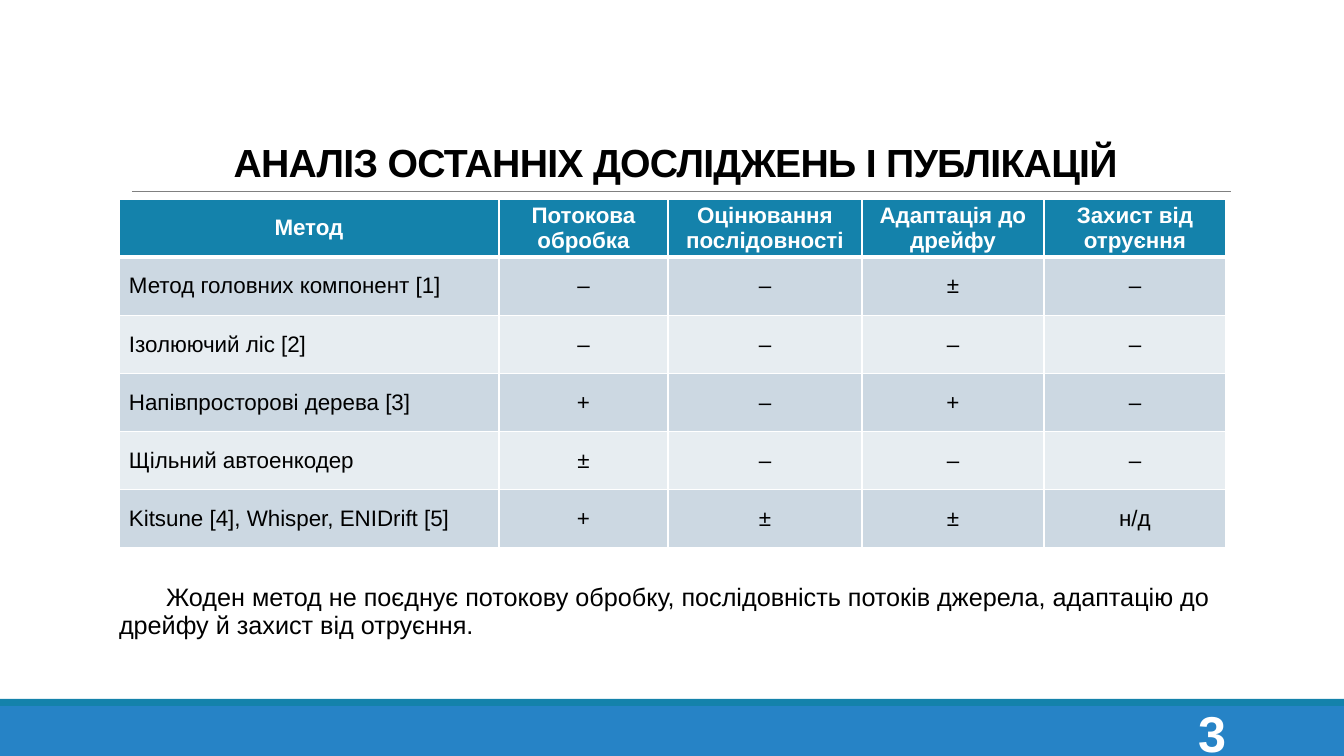
from lxml import etree
from pptx import Presentation
from pptx.dml.color import RGBColor
from pptx.enum.shapes import MSO_CONNECTOR, MSO_SHAPE
from pptx.enum.text import MSO_ANCHOR, MSO_AUTO_SIZE, PP_ALIGN
from pptx.oxml.ns import qn
from pptx.util import Pt

LINE, RECT = MSO_CONNECTOR.STRAIGHT, MSO_SHAPE.RECTANGLE
LEFT, CENTER, RIGHT = PP_ALIGN.LEFT, PP_ALIGN.CENTER, PP_ALIGN.RIGHT
TOP, MIDDLE, BOTTOM = MSO_ANCHOR.TOP, MSO_ANCHOR.MIDDLE, MSO_ANCHOR.BOTTOM
NO_FIT = MSO_AUTO_SIZE.NONE

BLUE, TEAL, GRAY = "2683C6", "1482AB", "808080"
WHITE, BLACK = "FFFFFF", "000000"
BANDS = ["CCD8E2", "E7EDF1"]
COLUMNS = [380, 169, 194, 182, 182]
ROW_HEIGHT = 58.2
METHODS = [
    ["Метод", "Потокова обробка", "Оцінювання послідовності",
     "Адаптація до дрейфу", "Захист від отруєння"],
    ["Метод головних компонент [1]", "–", "–", "±", "–"],
    ["Ізолюючий ліс [2]", "–", "–", "–", "–"],
    ["Напівпросторові дерева [3]", "+", "–", "+", "–"],
    ["Щільний автоенкодер", "±", "–", "–", "–"],
    ["Kitsune [4], Whisper, ENIDrift [5]", "+", "±", "±", "н/д"],
]


def px(n):
    return round(n * 914400 / 100.8)


def rgb(value):
    return RGBColor.from_string(value)


def place(shape, box):
    shape.left, shape.top, shape.width, shape.height = map(px, box)


def write(tf, text, size, color, bold=False, align=LEFT):
    tf.text = text
    p = tf.paragraphs[0]
    p.alignment = align
    font = p.runs[0].font
    font.name, font.size, font.bold = "Arial", Pt(size), bold
    font.color.rgb = rgb(color)
    return p


def set_frame(tf, anchor):
    tf.word_wrap = True
    tf.auto_size = NO_FIT
    tf.vertical_anchor = anchor


def add_bar(s, box, color):
    bar = s.shapes.add_shape(RECT, *map(px, box))
    bar.shadow.inherit = False
    bar.fill.solid()
    bar.fill.fore_color.rgb = rgb(color)
    bar.line.fill.background()


def add_footer(s, box, number):
    x, y, w, h = box
    add_bar(s, (x, y + 7, w, h - 7), BLUE)
    add_bar(s, (x, y, w, 7), TEAL)
    label = s.shapes.add_textbox(*map(px, (x + w - 252, y + 13, 144, 40)))
    set_frame(label.text_frame, MIDDLE)
    write(label.text_frame, number, 36, WHITE, True, RIGHT)


def add_title(s, box, text):
    x, y, w, h = box
    rule = s.shapes.add_connector(
        LINE, px(x + 11), px(y + h), px(x + w + 1), px(y + h))
    rule.line.color.rgb = rgb(GRAY)
    rule.line.width = Pt(0.5)
    etree.SubElement(rule._element.spPr, qn("a:effectLst"))
    title = s.shapes.title
    place(title, box)
    set_frame(title.text_frame, BOTTOM)
    p = write(title.text_frame, text, 28, BLACK, True, CENTER)
    p.line_spacing = 0.85
    p.runs[0].font._element.set("spc", "-50")


def add_summary(s, box, text):
    body = s.placeholders[1]
    place(body, box)
    tf = body.text_frame
    set_frame(tf, TOP)
    tf.margin_left = tf.margin_right = 0
    tf.margin_top = tf.margin_bottom = px(5)
    p = write(tf, text, 18, BLACK)
    p.line_spacing = 0.9
    p.space_before, p.space_after = Pt(0), Pt(2)
    pPr = p._p.get_or_add_pPr()
    pPr.set("marL", "0")
    pPr.set("indent", str(px(47)))
    etree.SubElement(pPr, qn("a:buNone"))


def set_borders(cell, bottom):
    tcPr = cell._tc.get_or_add_tcPr()
    widths = {"lnL": 1, "lnR": 1, "lnT": 1, "lnB": bottom}
    for i, (side, width) in enumerate(widths.items()):
        ln = etree.Element(qn("a:" + side), w=str(Pt(width)))
        fill = etree.SubElement(ln, qn("a:solidFill"))
        etree.SubElement(fill, qn("a:srgbClr"), val=WHITE)
        tcPr.insert(i, ln)


def add_methods(s, x, y):
    box = (x, y, sum(COLUMNS), ROW_HEIGHT * len(METHODS))
    table = s.shapes.add_table(
        len(METHODS), len(COLUMNS), *map(px, box)).table
    for column, width in zip(table.columns, COLUMNS):
        column.width = px(width)
    for i, row in enumerate(METHODS):
        table.rows[i].height = px(ROW_HEIGHT)
        header = i == 0
        for j, text in enumerate(row):
            cell = table.cell(i, j)
            cell.vertical_anchor = MIDDLE
            cell.margin_left = cell.margin_right = px(10)
            cell.margin_top = cell.margin_bottom = px(3)
            cell.fill.solid()
            cell.fill.fore_color.rgb = rgb(TEAL if header else BANDS[(i - 1) % 2])
            set_borders(cell, 3 if header else 1)
            write(cell.text_frame, text, 16, WHITE if header else BLACK,
                  header, CENTER if header or j else LEFT)


def main():
    prs = Presentation()
    prs.slide_width, prs.slide_height = px(1344), px(756)
    s = prs.slides.add_slide(prs.slide_layouts[1])
    add_footer(s, (0, 699, 1344, 57), "3")
    add_title(s, (121, 60, 1109, 131), "АНАЛІЗ ОСТАННІХ ДОСЛІДЖЕНЬ І ПУБЛІКАЦІЙ")
    add_summary(s, (119, 580, 1107, 88),
                "Жоден метод не поєднує потокову обробку, послідовність потоків "
                "джерела, адаптацію до дрейфу й захист від отруєння.")
    add_methods(s, 119, 199)
    prs.save("out.pptx")


if __name__ == "__main__":
    main()
